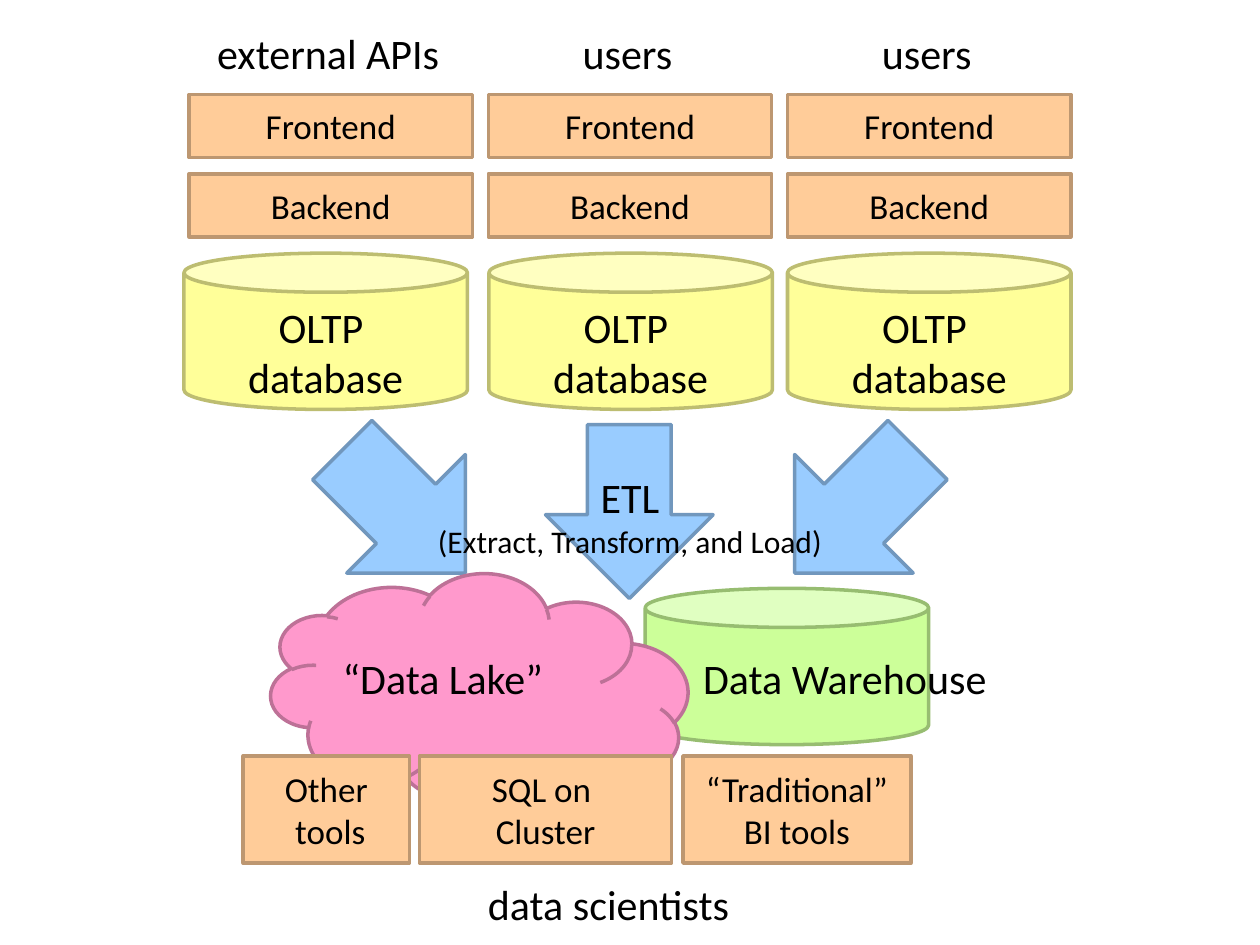
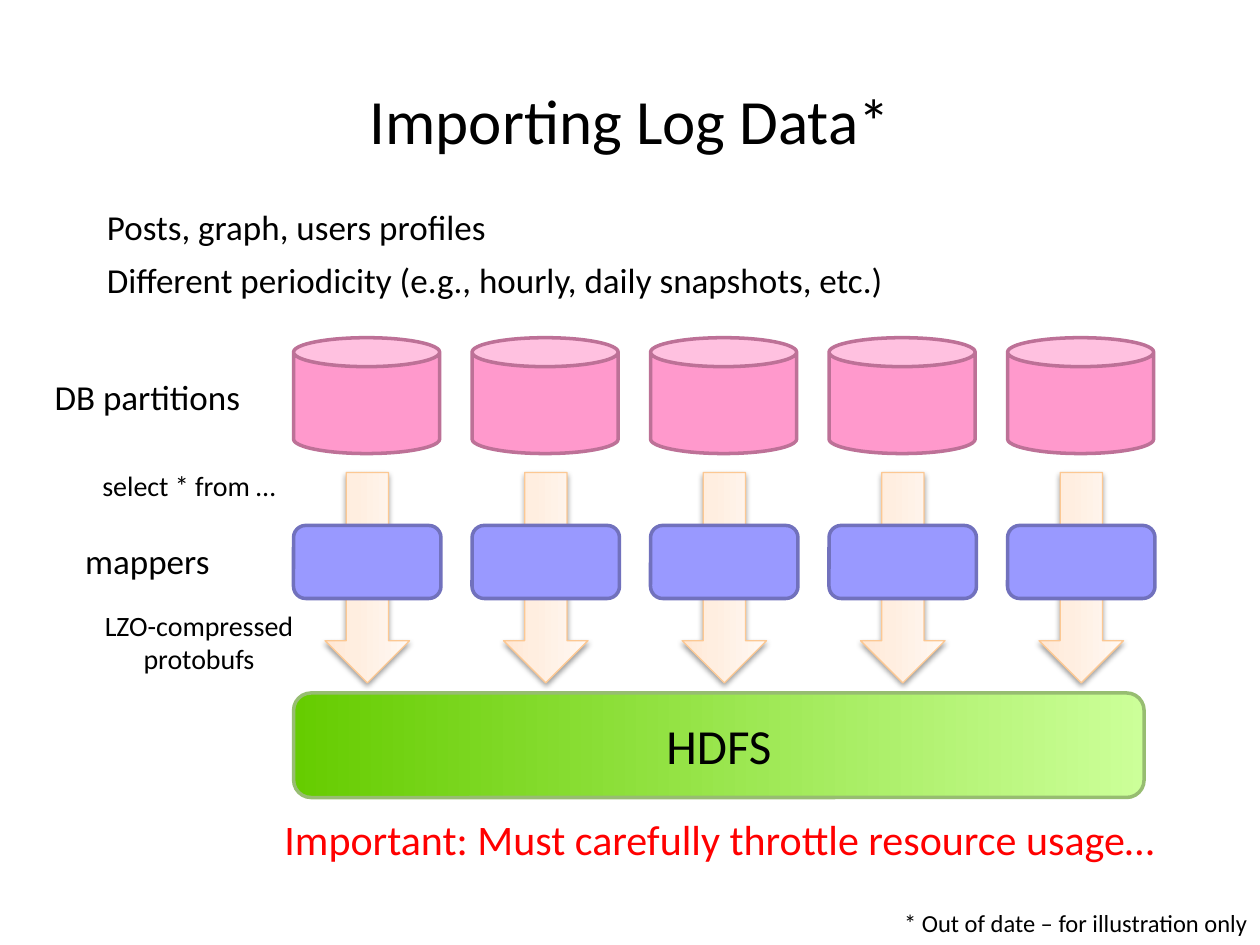
from dataclasses import dataclass

import pptx
import pptx.dml.color
import pptx.enum.shapes
import pptx.enum.text
import pptx.oxml
import pptx.oxml.ns
import pptx.util
from copy import deepcopy
from pptx.util import Inches

COLORS = {
    "black": "000000", "red": "FF0000",
    "orange": "FFCC99", "orange_line": "BD9771",
    "yellow": "FFFF99", "yellow_line": "BDBD71",
    "blue": "99CCFF", "blue_line": "7197BD",
    "green": "CCFF99", "green_line": "97BD71", "green_dark": "66CC00",
    "pink": "FF99CC", "pink_line": "BD7197",
    "violet": "9999FF", "violet_line": "7171BD",
    "cream_dark": "FFE7D4", "cream_mid": "FFEEE0",
    "cream": "FFF8F3", "cream_line": "FCC893",
}
FONT = "Calibri"
KINDS = pptx.enum.shapes.MSO_SHAPE
ALIGN = pptx.enum.text.PP_ALIGN
ANCHOR = pptx.enum.text.MSO_ANCHOR


@dataclass(frozen=True)
class Box:
    left: float
    top: float
    width: float
    height: float

    def lengths(self) -> tuple:
        return tuple(Inches(value) for value in (self.left, self.top, self.width, self.height))


@dataclass(frozen=True)
class Style:
    kind: int
    fill: str
    line: str
    line_width: float = 2
    stops: tuple = ()


@dataclass(frozen=True)
class Label:
    text: str
    box: Box
    size: float = 24
    align: int = ALIGN.CENTER
    color: str = "black"


TIER = Style(KINDS.RECTANGLE, "orange", "orange_line")
DATABASE = Style(KINDS.CAN, "yellow", "yellow_line")
WAREHOUSE = Style(KINDS.CAN, "green", "green_line")
LAKE = Style(KINDS.CLOUD, "pink", "pink_line")
ETL_ARROW = Style(KINDS.DOWN_ARROW, "blue", "blue_line")
PARTITION = Style(KINDS.CAN, "pink", "pink_line")
MAPPER = Style(KINDS.ROUNDED_RECTANGLE, "violet", "violet_line")
HDFS = Style(KINDS.ROUNDED_RECTANGLE, "green", "green_line",
             stops=((0, "green_dark"), (1, "green")))
FLOW_ARROW = Style(KINDS.RIGHT_ARROW, "cream", "cream_line", 0.75,
                   ((0, "cream_dark"), (0.35, "cream_mid"), (1, "cream")))


def rgb(name: str) -> pptx.dml.color.RGBColor:
    return pptx.dml.color.RGBColor.from_string(COLORS[name])


def write_text(shape, text: str, size: float, align: int = ALIGN.CENTER, color: str = "black") -> None:
    shape.text_frame.text = text
    for paragraph in shape.text_frame.paragraphs:
        paragraph.alignment = align
        for run in paragraph.runs:
            run.font.name = FONT
            run.font.size = pptx.util.Pt(size)
            run.font.color.rgb = rgb(color)


def fill_gradient(shape, stops: tuple) -> None:
    shape.fill.gradient()
    shape.fill.gradient_angle = 90
    stop_list = shape._element.spPr.find(".//" + pptx.oxml.ns.qn("a:gsLst"))
    while len(stop_list) < len(stops):
        stop_list.append(deepcopy(stop_list[0]))
    for stop, (position, color) in zip(shape.fill.gradient_stops, stops):
        stop.position = position
        stop.color.rgb = rgb(color)


def add_shadow(shape) -> None:
    effects = shape._element.spPr.find(pptx.oxml.ns.qn("a:effectLst"))
    effects.append(pptx.oxml.parse_xml(
        f'<a:outerShdw {pptx.oxml.ns.nsdecls("a")} blurRad="40000" dist="20000" dir="5400000" '
        f'rotWithShape="0"><a:srgbClr val="{COLORS["black"]}"><a:alpha val="38000"/>'
        '</a:srgbClr></a:outerShdw>'))


def draw_shape(slide, style: Style, box: Box, text: str = "", size: float = 20, rotation: float = 0):
    shape = slide.shapes.add_shape(style.kind, *box.lengths())
    shape.shadow.inherit = False
    shape.rotation = rotation
    if style.stops:
        fill_gradient(shape, style.stops)
    else:
        shape.fill.solid()
        shape.fill.fore_color.rgb = rgb(style.fill)
    shape.line.color.rgb = rgb(style.line)
    shape.line.width = pptx.util.Pt(style.line_width)
    if text:
        shape.text_frame.vertical_anchor = ANCHOR.MIDDLE
        write_text(shape, text, size)
    return shape


def draw_label(slide, label: Label):
    shape = slide.shapes.add_textbox(*label.box.lengths())
    shape.text_frame.word_wrap = True
    shape.text_frame.auto_size = pptx.enum.text.MSO_AUTO_SIZE.SHAPE_TO_FIT_TEXT
    write_text(shape, label.text, label.size, label.align, label.color)
    return shape


def build_architecture(slide) -> None:
    for left, rotation in ((6.13, 45), (2.54, 315)):
        draw_shape(slide, ETL_ARROW, Box(left, 3.37, 1.33, 1.38), rotation=rotation)
    draw_shape(slide, WAREHOUSE, Box(5.12, 4.67, 2.25, 1.24))
    lake = draw_shape(slide, LAKE, Box(2.15, 4.56, 3.31, 1.83))
    lake._element.spPr.xfrm.set("flipV", "1")

    for column, (audience, database_left) in enumerate(
            (("external APIs", 1.46), ("users", 3.88), ("users", 6.25))):
        left = 1.5 + column * 2.375
        draw_label(slide, Label(audience, Box(left, 0.17, 2.21, 0.5)))
        for top, tier in ((0.75, "Frontend"), (1.38, "Backend")):
            draw_shape(slide, TIER, Box(left, top, 2.25, 0.5), tier)
        draw_shape(slide, DATABASE, Box(database_left, 2.01, 2.25, 1.24))
        draw_label(slide, Label("OLTP \vdatabase", Box(database_left, 2.34, 2.25, 0.91)))

    for left, width, tool in ((5.42, 1.81, "“Traditional”\nBI tools"),
                              (3.33, 2, "SQL on \vCluster"),
                              (1.93, 1.32, "Other\v tools")):
        draw_shape(slide, TIER, Box(left, 6, width, 0.85), tool)
    for label in (Label("Data Warehouse", Box(5.47, 5.13, 2.47, 0.5)),
                  Label("“Data Lake”", Box(2.28, 5.13, 2.47, 0.5)),
                  Label("data scientists", Box(3.33, 6.92, 3, 0.5))):
        draw_label(slide, label)

    draw_shape(slide, ETL_ARROW, Box(4.33, 3.37, 1.33, 1.38))
    etl = draw_label(slide, Label("ETL\v(Extract, Transform, and Load)", Box(3, 3.69, 4, 0.81)))
    etl.text_frame.paragraphs[0].runs[1].font.size = pptx.util.Pt(18)


def build_log_import(slide) -> None:
    for column in range(5):
        offset = column * 17 / 12
        draw_shape(slide, PARTITION, Box(2.33 + offset, 2.68, 1.16, 0.92))
        arrow = draw_shape(slide, FLOW_ARROW, Box(2.08 + offset, 4.25, 1.67, 0.67), rotation=90)
        add_shadow(arrow)
        draw_shape(slide, MAPPER, Box(2.33 + offset, 4.17, 1.17, 0.58))

    hdfs = draw_shape(slide, HDFS, Box(5.29, 2.54, 0.83, 6.75), "HDFS", 28, 90)
    hdfs.text_frame._txBody.bodyPr.set("vert", "vert270")

    for label in (
            Label("DB partitions", Box(0.17, 2.93, 2, 0.44), 20),
            Label("select * from …", Box(0.5, 3.67, 2, 0.37), 16),
            Label("mappers", Box(0.17, 4.23, 2, 0.44), 20),
            Label("LZO-compressed protobufs", Box(0.58, 4.78, 2, 0.64), 16),
            Label("Posts, graph, users profiles", Box(0.75, 1.58, 4.92, 0.44), 20, ALIGN.LEFT),
            Label("Different periodicity (e.g., hourly, daily snapshots, etc.)",
                  Box(0.75, 2, 8.67, 0.44), 20, ALIGN.LEFT),
            Label("Important: Must carefully throttle resource usage…",
                  Box(1.42, 6.41, 8.58, 0.5), color="red"),
            Label("* Out of date – for illustration only",
                  Box(2.33, 7.16, 7.67, 0.34), 14, ALIGN.RIGHT)):
        draw_label(slide, label)

    title = draw_label(slide, Label("Importing Log Data*", Box(0, 0.6, 10, 0.75), 36))
    title.text_frame.auto_size = pptx.enum.text.MSO_AUTO_SIZE.NONE


def main() -> None:
    presentation = pptx.Presentation()
    presentation.slide_width = Inches(10)
    presentation.slide_height = Inches(7.5)
    for build in (build_architecture, build_log_import):
        build(presentation.slides.add_slide(presentation.slide_layouts[6]))
    presentation.save("out.pptx")


if __name__ == "__main__":
    main()
